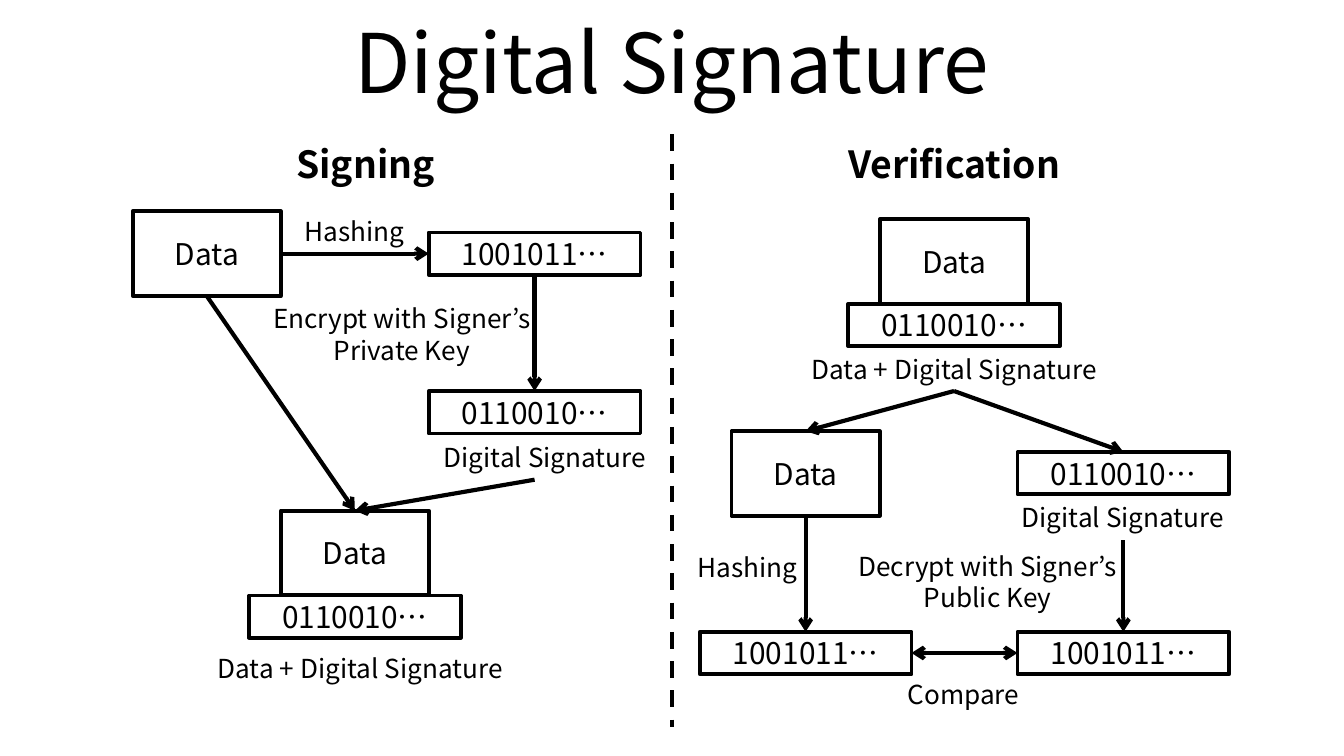
from lxml import etree
from pptx import Presentation
from pptx.dml.color import RGBColor
from pptx.enum.dml import MSO_LINE
from pptx.enum.shapes import MSO_CONNECTOR, MSO_SHAPE
from pptx.enum.text import MSO_ANCHOR, MSO_AUTO_SIZE, PP_ALIGN
from pptx.oxml.ns import qn
from pptx.util import Pt

RECT = MSO_SHAPE.RECTANGLE
STRAIGHT = MSO_CONNECTOR.STRAIGHT
DASH = MSO_LINE.DASH
MIDDLE = MSO_ANCHOR.MIDDLE
CENTER = PP_ALIGN.CENTER
GROW = MSO_AUTO_SIZE.SHAPE_TO_FIT_TEXT

BLACK = RGBColor(0, 0, 0)
WHITE = RGBColor(255, 255, 255)
FONT = "Noto Sans CJK KR"

DATA_W, DATA_H = 79.4, 45.4
BITS_W, BITS_H = 113.4, 22.7
LABEL_W = 175.7
HASH, SIGNATURE = "1001011…", "0110010…"


class Diagram:
    """Draws on one slide; boxes and labels are placed by centre x and top."""

    def __init__(self, s):
        self.s = s

    def add_text(self, sp, text, size, bold=False):
        tf = sp.text_frame
        tf.word_wrap = True
        tf.vertical_anchor = MIDDLE
        p = tf.paragraphs[0]
        p.alignment = CENTER
        r = p.add_run()
        r.text = text
        r.font.size = Pt(size)
        r.font.bold = bold
        r.font.name = FONT
        r.font.color.rgb = BLACK
        # East Asian face, used for the ellipsis
        etree.SubElement(r.font._element, qn("a:ea"), typeface=FONT)

    def label(self, cx, top, text, w=LABEL_W, h=24.2, size=14, bold=False):
        sp = self.s.shapes.add_textbox(Pt(cx - w / 2), Pt(top), Pt(w), Pt(h))
        self.add_text(sp, text, size, bold)
        sp.text_frame.auto_size = GROW

    def box(self, cx, top, w, h, text):
        sp = self.s.shapes.add_shape(RECT, Pt(cx - w / 2), Pt(top), Pt(w), Pt(h))
        sp.shadow.inherit = False
        sp.fill.solid()
        sp.fill.fore_color.rgb = WHITE
        sp.line.color.rgb = BLACK
        sp.line.width = Pt(2)
        self.add_text(sp, text, 16)

    def data(self, cx, top):
        self.box(cx, top, DATA_W, DATA_H, "Data")

    def bits(self, cx, top, text):
        self.box(cx, top, BITS_W, BITS_H, text)

    def signed_data(self, cx, top):
        self.data(cx, top)
        self.bits(cx, top + DATA_H, SIGNATURE)

    def line(self, x1, y1, x2, y2, ends=("tailEnd",), dash=None):
        c = self.s.shapes.add_connector(STRAIGHT, Pt(x1), Pt(y1), Pt(x2), Pt(y2))
        c.line.color.rgb = BLACK
        c.line.width = Pt(2.25)
        if dash is not None:
            c.line.dash_style = dash
        ln = c._element.spPr.find(qn("a:ln"))
        for end in ends:
            etree.SubElement(ln, qn("a:" + end), type="arrow")
        etree.SubElement(c._element.spPr, qn("a:effectLst"))


def main():
    prs = Presentation()
    prs.slide_width, prs.slide_height = Pt(720), Pt(405)
    s = prs.slides.add_slide(prs.slide_layouts[6])
    d = Diagram(s)

    # Title and divider
    title = s.shapes.add_textbox(Pt(36), Pt(-1.4), Pt(648), Pt(67.7))
    d.add_text(title, "Digital Signature", 44)
    d.line(360, 72, 360, 389.5, ends=(), dash=DASH)

    # Signing: data is hashed, the hash encrypted, both are joined
    data_x, hash_x, signed_x = 110.8, 286.4, 190.1
    data_y, sign_y, signed_y = 113.2, 209.5, 273.6
    row_y = data_y + DATA_H / 2
    hash_y = row_y - BITS_H / 2
    d.label(195.8, 72, "Signing", h=31.5, size=20, bold=True)
    d.data(data_x, data_y)
    d.bits(hash_x, hash_y, HASH)
    d.line(data_x + DATA_W / 2, row_y, hash_x - BITS_W / 2, row_y)
    d.label(190.1, 111.6, "Hashing")
    d.line(hash_x, hash_y + BITS_H, hash_x, sign_y)
    d.label(215.3, 158.4, "Encrypt with Signer’s Private Key", h=41.2)
    d.bits(hash_x, sign_y, SIGNATURE)
    d.label(292, 232.6, "Digital Signature", w=124.6)
    d.signed_data(signed_x, signed_y)
    d.line(hash_x, 257, signed_x, signed_y)
    d.line(data_x, data_y + DATA_H, signed_x, signed_y)
    d.label(193, 345.6, "Data + Digital Signature")

    # Verification: signed data is split, both hashes are compared
    signed_x, data_x, sign_x = 511.1, 431.6, 601.8
    signed_y, data_y, sign_y, hash_y = 117.4, 231, 242.1, 338.5
    split_y, compare_y = 209.5, hash_y + BITS_H / 2
    d.label(511.2, 72, "Verification", h=31.5, size=20, bold=True)
    d.signed_data(signed_x, signed_y)
    d.label(511.2, 185.8, "Data + Digital Signature")
    d.data(data_x, data_y)
    d.bits(sign_x, sign_y, SIGNATURE)
    d.label(601.6, 265, "Digital Signature", w=136)
    d.line(signed_x, split_y, data_x, data_y)
    d.line(signed_x, split_y, sign_x, sign_y)
    d.line(data_x, data_y + DATA_H, data_x, hash_y)
    d.label(400.4, 291.6, "Hashing", w=96.5)
    d.line(sign_x, 289.4, sign_x, hash_y)
    d.label(529.2, 290.9, "Decrypt with Signer’s Public Key", h=41.2)
    for x in (data_x, sign_x):
        d.bits(x, hash_y, HASH)
    d.line(sign_x - BITS_W / 2, compare_y, data_x + BITS_W / 2, compare_y,
           ends=("headEnd", "tailEnd"))
    d.label(516.2, 360, "Compare")

    prs.save("out.pptx")


if __name__ == "__main__":
    main()
